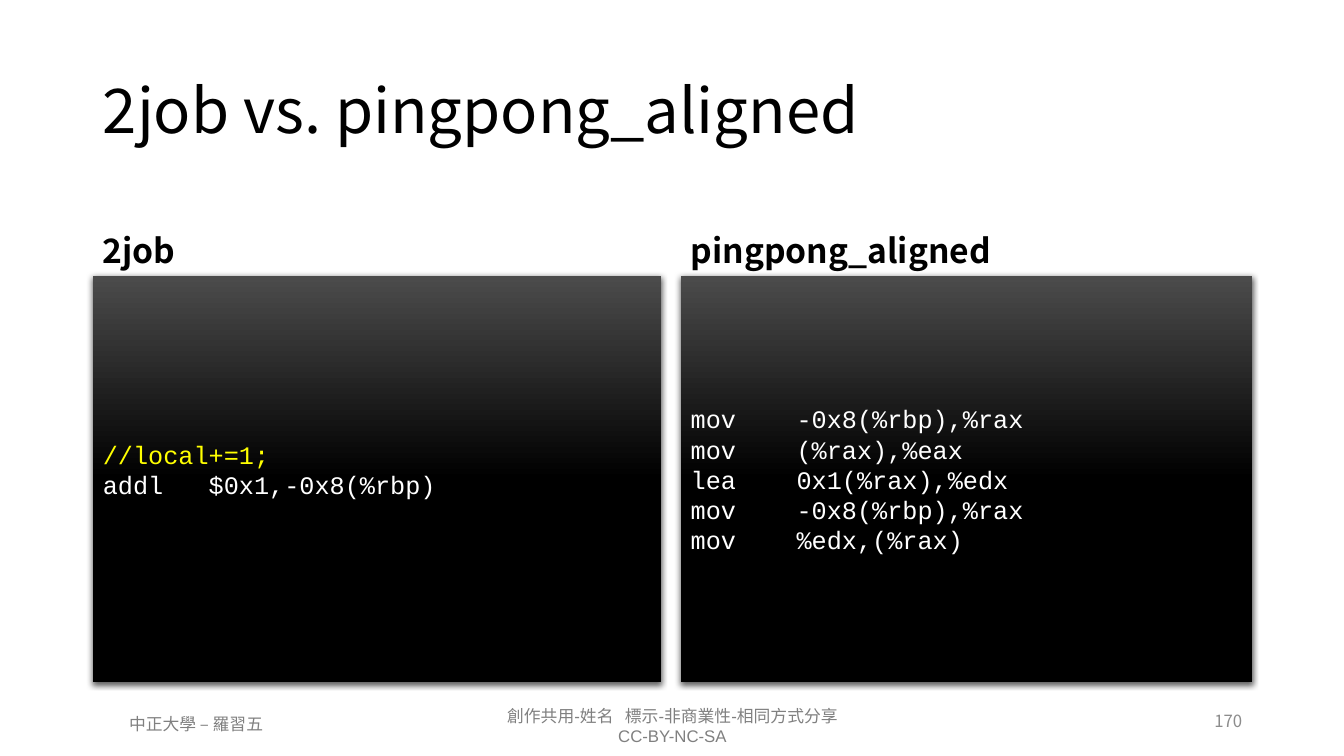
from lxml.etree import SubElement as Sub
from pptx import Presentation
from pptx.dml.color import RGBColor as Rgb
from pptx.enum.text import MSO_ANCHOR as Anchor, MSO_AUTO_SIZE as Fit, PP_ALIGN as Align
from pptx.oxml import parse_xml
from pptx.oxml.ns import nsdecls, qn
from pptx.util import Inches, Pt

WIDE, HIGH = Inches(13.33), Inches(7.5)
SANS, MONO, FOOT = "Noto Sans CJK TC", "Courier New", "Arial"

# Columns (left, width) and rows (top, height) in percent of the slide
FULL, LEFT, RIGHT = (6.9, 86.27), (6.9, 42.31), (50.64, 42.53)
TITLE, HEAD, CODE = (5.33, 19.33), (24.53, 12), (36.53, 53.73)

JOB = ["//local+=1;", "addl   $0x1,-0x8(%rbp)"]
PING = [
    "mov    -0x8(%rbp),%rax",
    "mov    (%rax),%eax",
    "lea    0x1(%rax),%edx",
    "mov    -0x8(%rbp),%rax",
    "mov    %edx,(%rax)",
]


def paint(font, tone):
    font.color.rgb = Rgb.from_string(tone)


def area(col, row):
    """Turn a column and a row into left, top, width, height."""
    (x, w), (y, h) = col, row
    return [round(side * part / 100)
            for side, part in ((WIDE, x), (HIGH, y), (WIDE, w), (HIGH, h))]


def place(shape, col, row):
    shape.left, shape.top, shape.width, shape.height = area(col, row)
    return shape


def write(shape, lines, size=12, face=SANS, tone="000000", bold=False,
          align=Align.LEFT, anchor=Anchor.TOP, gap=0, lead=1.0):
    """Fill a shape with one paragraph per line."""
    frame = shape.text_frame
    frame.word_wrap, frame.auto_size = True, Fit.NONE
    frame.vertical_anchor = anchor
    frame.text = "\n".join(lines)
    for para in frame.paragraphs:
        para.alignment, para.line_spacing = align, lead
        para.space_before, para.space_after = Pt(gap), Pt(0)
        props = para._p.get_or_add_pPr()
        props.set("marL", "0")
        props.set("indent", "0")
        Sub(props, qn("a:buNone"))
        for run in para.runs:
            font = run.font
            font.name, font.size, font.bold = face, Pt(size), bold
            paint(font, tone)
            east = Sub(run._r.get_or_add_rPr(), qn("a:ea"))
            east.set("typeface", SANS)
    return frame


def panel(shape):
    """Give a placeholder the dark gradient and a soft shadow."""
    stops = "".join(
        f'<a:gs pos="{pos}000"><a:srgbClr val="{tone}"/></a:gs>'
        for pos, tone in ((0, "4B4B4B"), (50, "000000"), (100, "000000")))
    for part in (
        f'<a:prstGeom {nsdecls("a")} prst="rect"><a:avLst/></a:prstGeom>',
        f'<a:gradFill {nsdecls("a")} rotWithShape="1"><a:gsLst>{stops}</a:gsLst>'
        '<a:lin ang="5400000" scaled="0"/></a:gradFill>',
        f'<a:effectLst {nsdecls("a")}><a:outerShdw blurRad="{Pt(4.5)}" '
        f'dist="{Pt(1.5)}" dir="5400000" algn="ctr" rotWithShape="0">'
        '<a:srgbClr val="000000"><a:alpha val="63000"/></a:srgbClr>'
        '</a:outerShdw></a:effectLst>',
    ):
        shape._element.spPr.append(parse_xml(part))


def listing(head, body, col, name, code):
    """Draw one column: a heading over a code panel."""
    write(place(head, col, HEAD), [name], size=24, bold=True,
          anchor=Anchor.BOTTOM, gap=10, lead=0.9)
    panel(place(body, col, CODE))
    return write(body, code, size=18, face=MONO, tone="FFFFFF",
                 anchor=Anchor.MIDDLE, lead=Pt(21.6))


def label(slide, col, row, lines, **form):
    write(slide.shapes.add_textbox(*area(col, row)), lines, **form)


def main():
    deck = Presentation()
    deck.slide_width, deck.slide_height = WIDE, HIGH
    slide = deck.slides.add_slide(deck.slide_layouts[4])
    title, head1, body1, head2, body2 = slide.placeholders

    # Footer
    grey = dict(face=FOOT, tone="808080", align=Align.CENTER)
    label(slide, (31.58, 36.91), (92.67, 6.67),
          ["創作共用-姓名   標示-非商業性-相同方式分享", "CC-BY-NC-SA"], **grey)
    label(slide, (5.18, 18.83), (93.73, 4), ["中正大學 – 羅習五"], **grey)
    label(slide, (70.67, 22.5), (92.67, 5.33), ["170"], tone="8C8C8C",
          align=Align.RIGHT, anchor=Anchor.MIDDLE)

    # Title and the two code columns
    write(place(title, FULL, TITLE), ["2job vs. pingpong_aligned"], size=44,
          anchor=Anchor.MIDDLE, lead=0.9)
    job = listing(head1, body1, LEFT, "2job", JOB)
    listing(head2, body2, RIGHT, "pingpong_aligned", PING)

    # The comment line is yellow, and its panel sits a little higher
    paint(job.paragraphs[0].runs[0].font, "FFFF00")
    job.margin_bottom = Inches(0.24)

    deck.save("out.pptx")


if __name__ == "__main__":
    main()
